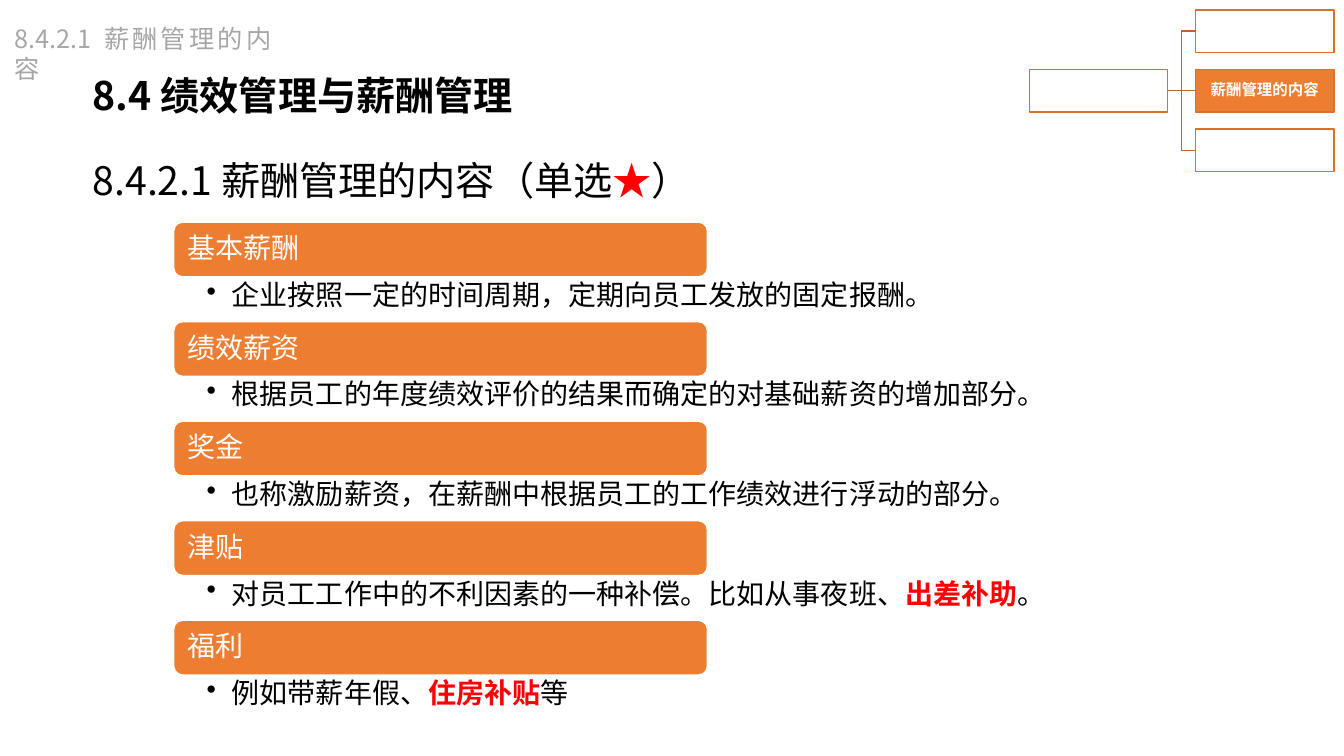
from dataclasses import dataclass
from typing import NamedTuple

import lxml.etree
import pptx
import pptx.dml.color
import pptx.enum.shapes
import pptx.enum.text
import pptx.oxml.ns
import pptx.util

Inches = pptx.util.Inches
Pt = pptx.util.Pt
qn = pptx.oxml.ns.qn
ALIGN = pptx.enum.text.PP_ALIGN
ANCHOR = pptx.enum.text.MSO_ANCHOR
SHAPE = pptx.enum.shapes.MSO_SHAPE
CONNECTOR = pptx.enum.shapes.MSO_CONNECTOR


@dataclass(frozen=True)
class Theme:
    sans: str = "Noto Sans CJK SC"
    list_font: str = "Noto Sans CJK JP"
    black: str = "000000"
    white: str = "FFFFFF"
    grey: str = "A6A6A6"
    red: str = "FF0000"
    orange: str = "ED7D31"
    box_line: str = "D7712C"
    link_line: str = "BE6427"
    title_size: int = 28
    list_size: int = 20
    label_size: int = 18
    map_size: int = 11


T = Theme()


class Box(NamedTuple):
    x: float
    y: float
    w: float
    h: float


class Span(NamedTuple):
    text: str
    color: str = T.black
    bold: bool = False


class Item(NamedTuple):
    heading: str
    spans: list[Span]


ITEMS = [
    Item("基本薪酬", [Span("企业按照一定的时间周期，定期向员工发放的固定报酬。")]),
    Item("绩效薪资", [Span("根据员工的年度绩效评价的结果而确定的对基础薪资的增加部分。")]),
    Item("奖金", [Span("也称激励薪资，在薪酬中根据员工的工作绩效进行浮动的部分。")]),
    Item("津贴", [Span("对员工工作中的不利因素的一种补偿。比如从事夜班、"),
                Span("出差补助", T.red, True), Span("。")]),
    Item("福利", [Span("例如带薪年假、"), Span("住房补贴", T.red, True), Span("等")]),
]
FIRST_TOP, LAST_TOP = 2.2, 6.15
TOPIC_TOPS = [0.1, 0.69, 1.28]
TOPIC_LABELS = ["", "薪酬管理的内容", ""]


def rgb(color: str) -> pptx.dml.color.RGBColor:
    return pptx.dml.color.RGBColor.from_string(color)


def place(box: Box) -> list[pptx.util.Length]:
    return [Inches(v) for v in box]


def write(s, spans: list[Span], size: int, font: str = T.sans, align=ALIGN.LEFT,
          anchor=ANCHOR.TOP, spacing: float = 1.0, bullet: bool = False,
          insets: tuple[float, float] = (0.1, 0.05)) -> None:
    """Fill a shape with one paragraph; insets are horizontal and vertical."""
    tf = s.text_frame
    tf.word_wrap = True
    tf.auto_size = pptx.enum.text.MSO_AUTO_SIZE.NONE
    tf.vertical_anchor = anchor
    tf.margin_left = tf.margin_right = Inches(insets[0])
    tf.margin_top = tf.margin_bottom = Inches(insets[1])
    p = tf.paragraphs[0]
    p.alignment = align
    p.line_spacing = spacing
    p.space_before = Pt(0)
    if bullet:
        pPr = p._p.get_or_add_pPr()
        pPr.set("marL", str(Inches(0.25)))
        pPr.set("indent", str(Inches(-0.25)))
        lxml.etree.SubElement(pPr, qn("a:buChar")).set("char", "•")
    for span in spans:
        r = p.add_run()
        r.text = span.text
        r.font.size = Pt(size)
        r.font.bold = span.bold
        r.font.color.rgb = rgb(span.color)
        r.font.name = font
        lxml.etree.SubElement(r._r.get_or_add_rPr(), qn("a:ea")).set("typeface", font)


def add_block(slide, kind, box: Box, fill: str, line: str, width: float):
    s = slide.shapes.add_shape(kind, *place(box))
    s.shadow.inherit = False
    s.fill.solid()
    s.fill.fore_color.rgb = rgb(fill)
    s.line.color.rgb = rgb(line)
    s.line.width = Pt(width)
    return s


def add_text(slide, box: Box):
    return slide.shapes.add_textbox(*place(box))


def add_link(slide, kind, begin, end) -> None:
    c = slide.shapes.add_connector(kind, 0, 0, 0, 0)
    c.begin_connect(begin, 3)
    c.end_connect(end, 1)
    c.line.color.rgb = rgb(T.link_line)
    c.line.width = Pt(1)
    lxml.etree.SubElement(c._element.spPr, qn("a:effectLst"))


def add_items(slide) -> None:
    pitch = (LAST_TOP - FIRST_TOP) / (len(ITEMS) - 1)
    for i, item in enumerate(ITEMS):
        top = FIRST_TOP + i * pitch
        bar = add_block(slide, SHAPE.ROUNDED_RECTANGLE, Box(1.72, top, 5.3, 0.55),
                        T.orange, T.white, 1.5)
        write(bar, [Span(item.heading, T.white)], T.list_size, T.list_font,
              anchor=ANCHOR.MIDDLE, spacing=0.9, insets=(0.11, 0.08))
        detail = add_text(slide, Box(1.72, top + 0.56, 10.36, 0.43))
        write(detail, item.spans, T.list_size, T.list_font, spacing=0.9,
              bullet=True, insets=(0.33, 0.03))


def add_topic_map(slide) -> None:
    root = add_block(slide, SHAPE.RECTANGLE, Box(10.21, TOPIC_TOPS[1], 1.37, 0.42),
                     T.white, T.box_line, 1)
    for top, label in zip(TOPIC_TOPS, TOPIC_LABELS):
        topic = add_block(slide, SHAPE.RECTANGLE, Box(11.86, top, 1.37, 0.42),
                          T.orange if label else T.white, T.box_line, 1)
        if label:
            write(topic, [Span(label, T.white, True)], T.map_size, align=ALIGN.CENTER,
                  anchor=ANCHOR.MIDDLE, spacing=0.9, insets=(0.01, 0.01))
        level = top == TOPIC_TOPS[1]
        add_link(slide, CONNECTOR.STRAIGHT if level else CONNECTOR.ELBOW, root, topic)


def main() -> None:
    prs = pptx.Presentation()
    prs.slide_width, prs.slide_height = Inches(13.33), Inches(7.5)
    slide = prs.slides.add_slide(prs.slide_layouts[5])

    # Title and section label
    title = slide.shapes.title
    title.left, title.top, title.width, title.height = place(Box(0.8, 0.65, 11.45, 0.59))
    write(title, [Span("8.4 绩效管理与薪酬管理", bold=True)], T.title_size,
          insets=(0.12, 0.06))
    label = add_text(slide, Box(0.05, 0.18, 2.74, 0.4))
    write(label, [Span("8.4.2.1 薪酬管理的内容", T.grey)], T.label_size,
          align=ALIGN.JUSTIFY)

    # Subheading
    subheading = add_text(slide, Box(0.8, 1.15, 12.16, 1.04))
    write(subheading, [Span("8.4.2.1 薪酬管理的内容（单选"), Span("★", T.red), Span("）")],
          T.title_size, anchor=ANCHOR.MIDDLE, spacing=1.5, insets=(0.12, 0.06))

    # Pay components and topic map
    add_items(slide)
    add_topic_map(slide)
    prs.save("out.pptx")


if __name__ == "__main__":
    main()
